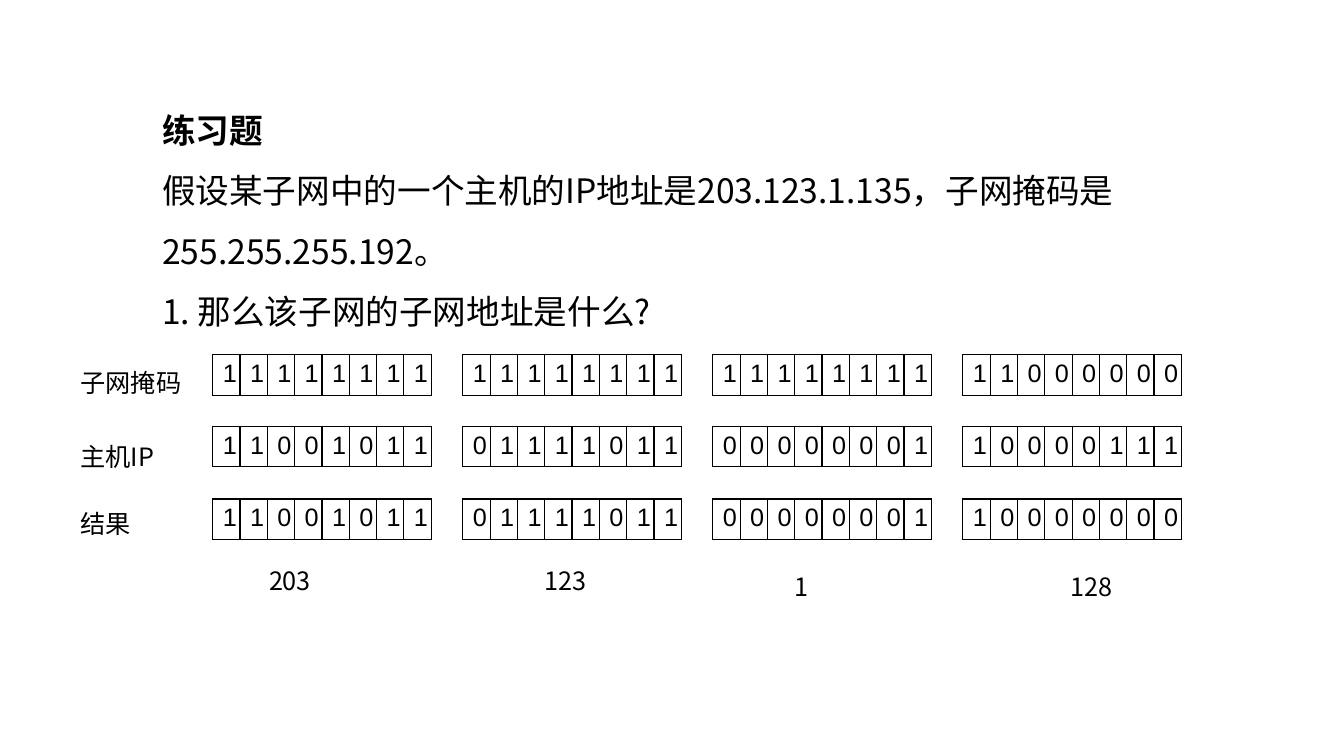
"""Build a slide that works out a subnet address bit by bit."""
from dataclasses import dataclass

from lxml.etree import SubElement as Sub
from pptx import Presentation
from pptx.dml.color import RGBColor
from pptx.enum.text import MSO_AUTO_SIZE as Fit
from pptx.oxml import parse_xml
from pptx.oxml.ns import nsdecls, qn
from pptx.slide import Slide
from pptx.util import Inches, Pt

BLACK = RGBColor(0, 0, 0)
HAN = "Noto Sans CJK SC"
LATIN = "Arial"
LEFT, STEP = 2.11, 2.48
WIDE, HIGH = 2.17, 0.4
MASK = (255, 255, 255, 192)
HOST = (203, 123, 1, 135)
NET = tuple(m & h for m, h in zip(MASK, HOST))


@dataclass
class Note:
    """A text box, with its place and its lines."""
    left: float
    top: float
    width: float
    height: float
    lines: tuple[str, ...]
    size: int = 18
    titled: bool = False


@dataclass
class Row:
    """Four bytes drawn as bits at one height."""
    top: float
    bytes: tuple[int, ...]


NOTES = (
    Note(1.51, 0.84, 10.75, 2.52, (
        "练习题",
        "假设某子网中的一个主机的IP地址是203.123.1.135，子网掩码是255.255.255.192。",
        "1. 那么该子网的子网地址是什么?",
    ), 24, True),
    Note(0.7, 3.44, 1.26, 0.56, ("子网掩码",)),
    Note(0.7, 4.18, 1.26, 0.5, ("主机IP",)),
    Note(0.7, 4.84, 1.26, 0.5, ("结果",)),
    Note(2.57, 5.41, 0.74, 0.56, (str(NET[0]),)),
    Note(5.3, 5.41, 0.74, 0.5, (str(NET[1]),)),
    Note(7.78, 5.47, 0.74, 0.5, (str(NET[2]),)),
    Note(10.52, 5.47, 0.74, 0.5, (str(NET[3]),)),
)
ROWS = (Row(3.52, MASK), Row(4.23, HOST), Row(4.95, NET))


def style(para, face: str, size: int, bold: bool = False) -> None:
    """Set the font of a paragraph, for Latin and Chinese text alike."""
    font = para.font
    font.name, font.size, font.bold = face, Pt(size), bold
    font.color.rgb = BLACK
    props = para._p.get_or_add_pPr().find(qn("a:defRPr"))
    Sub(props, qn("a:ea")).set("typeface", face)


def write(slide: Slide, note: Note) -> None:
    """Draw one text box."""
    spot = map(Inches, (note.left, note.top, note.width, note.height))
    frame = slide.shapes.add_textbox(*spot).text_frame
    frame.word_wrap = True
    frame.auto_size = Fit.SHAPE_TO_FIT_TEXT
    frame.text = "\n".join(note.lines)
    for i, para in enumerate(frame.paragraphs):
        para.line_spacing = 1.5
        style(para, HAN, note.size, note.titled and i == 0)


def frame_cell(cell) -> None:
    """Give a cell thin black borders and no fill."""
    cell.fill.background()
    props = cell._tc.get_or_add_tcPr()
    for i, side in enumerate("LRTB"):
        props.insert(i, parse_xml(
            f'<a:ln{side} {nsdecls("a")} w="{Pt(1)}"><a:solidFill>'
            f'<a:srgbClr val="{BLACK}"/></a:solidFill></a:ln{side}>'))


def draw_byte(slide: Slide, left: float, top: float, value: int) -> None:
    """Draw a byte as a table of eight bits."""
    spot = map(Inches, (left, top, WIDE, HIGH))
    table = slide.shapes.add_table(1, 8, *spot).table
    table.first_row = table.horz_banding = False
    for cell, bit in zip(table.iter_cells(), f"{value:08b}"):
        cell.text = bit
        style(cell.text_frame.paragraphs[0], LATIN, 18)
        frame_cell(cell)


def main() -> None:
    """Build and save the slide."""
    deck = Presentation()
    deck.slide_width, deck.slide_height = Inches(13.33), Inches(7.5)
    slide = deck.slides.add_slide(deck.slide_layouts[6])
    for note in NOTES:
        write(slide, note)
    for row in ROWS:
        for i, value in enumerate(row.bytes):
            draw_byte(slide, LEFT + i * STEP, row.top, value)
    deck.save("out.pptx")


if __name__ == "__main__":
    main()
